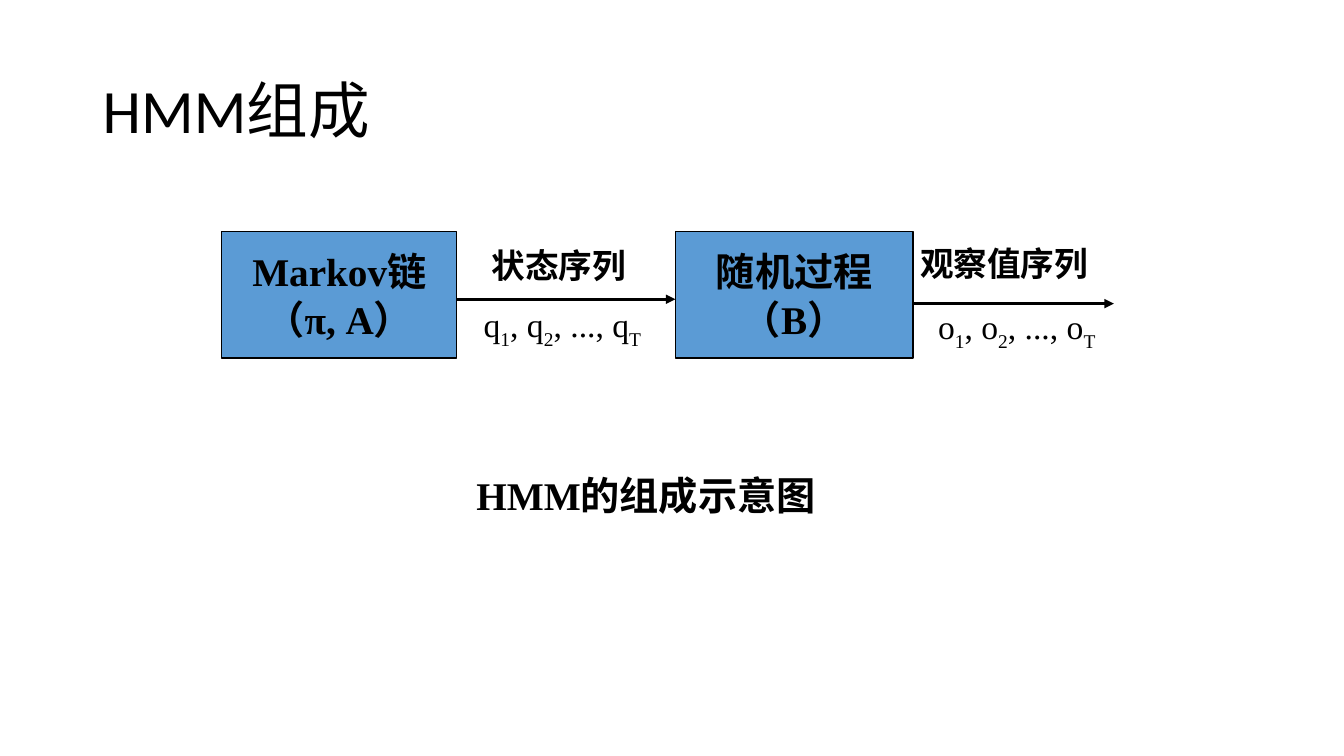
import pptx
import pptx.dml.color
import pptx.enum.shapes
import pptx.enum.text
import pptx.oxml
import pptx.oxml.ns
import pptx.util
from pptx.util import Cm


def colour(hex_string):
    return pptx.dml.color.RGBColor.from_string(hex_string)


def write_text(shape, text, size=24, font="Times New Roman", bold=False,
               align="LEFT", anchor="TOP", wrap=True, line_spacing=1.0):
    frame = shape.text_frame
    frame.word_wrap = wrap
    frame.vertical_anchor = pptx.enum.text.MSO_ANCHOR[anchor]
    for number, line in enumerate(text.split("\n")):
        paragraph = frame.add_paragraph() if number else frame.paragraphs[0]
        paragraph.alignment = pptx.enum.text.PP_ALIGN[align]
        paragraph.line_spacing = line_spacing
        for position, part in enumerate(line.split("|")):
            run = paragraph.add_run()
            run.text = part
            run.font.size = pptx.util.Pt(size)
            run.font.name = font
            run.font.bold = bold
            run.font.color.rgb = colour("000000")
            if position % 2:
                run.font._element.set("baseline", "-25000")


presentation = pptx.Presentation()
presentation.slide_width = Cm(33.87)
presentation.slide_height = Cm(19.05)
slide = presentation.slides.add_slide(presentation.slide_layouts[6])

title = slide.shapes.add_textbox(Cm(2.34), Cm(1.02), Cm(29.21), Cm(3.68))
write_text(title, "HMM组成", size=44, font="Calibri", anchor="MIDDLE", line_spacing=0.9)

stages = [
    (5.59, 5.92, "Markov链\n（π, A）"),
    (17.02, 5.99, "随机过程\n（B）"),
]
for left, width, text in stages:
    box = slide.shapes.add_shape(pptx.enum.shapes.MSO_SHAPE.RECTANGLE,
                                 Cm(left), Cm(5.84), Cm(width), Cm(3.18))
    box.shadow.inherit = False
    box.fill.solid()
    box.fill.fore_color.rgb = colour("5B9BD5")
    box.line.color.rgb = colour("000000")
    box.line.width = pptx.util.Pt(1)
    write_text(box, text, size=28, bold=True, align="CENTER", anchor="MIDDLE", wrap=False)

for start, end, height in [(11.51, 17.02, 7.54), (22.99, 28.07, 7.65)]:
    arrow = slide.shapes.add_connector(pptx.enum.shapes.MSO_CONNECTOR.STRAIGHT,
                                       Cm(start), Cm(height), Cm(end), Cm(height))
    arrow.line.color.rgb = colour("000000")
    arrow.line.width = pptx.util.Pt(2.25)
    head = pptx.oxml.parse_xml(
        f'<a:tailEnd {pptx.oxml.ns.nsdecls("a")} type="triangle"/>')
    arrow.line._get_or_add_ln().append(head)
    arrow._element.spPr.append(
        pptx.oxml.parse_xml(f'<a:effectLst {pptx.oxml.ns.nsdecls("a")}/>'))

labels = [
    (12.14, 6.05, 4.24, "状态序列", True),
    (22.94, 5.99, 5.28, "观察值序列", True),
    (11.94, 7.54, 4.88, "q|1|, q|2|, ..., q|T", False),
    (23.39, 7.59, 4.88, "o|1|, o|2|, ..., o|T", False),
]
for left, top, width, text, bold in labels:
    label = slide.shapes.add_textbox(Cm(left), Cm(top), Cm(width), Cm(1.27))
    write_text(label, text, bold=bold)

caption = slide.shapes.add_textbox(Cm(7.49), Cm(11.76), Cm(17.58), Cm(1.45))
write_text(caption, "HMM的组成示意图", size=28, bold=True, align="CENTER")

presentation.save("out.pptx")
